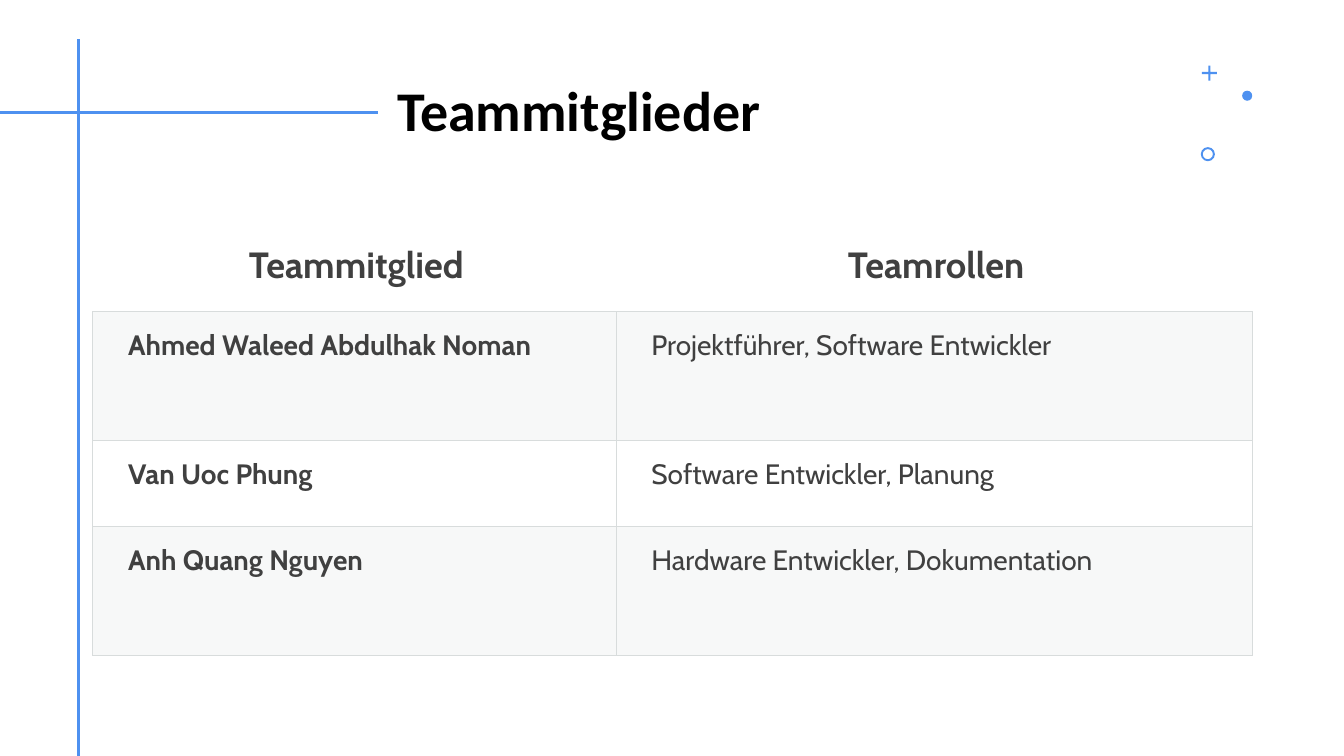
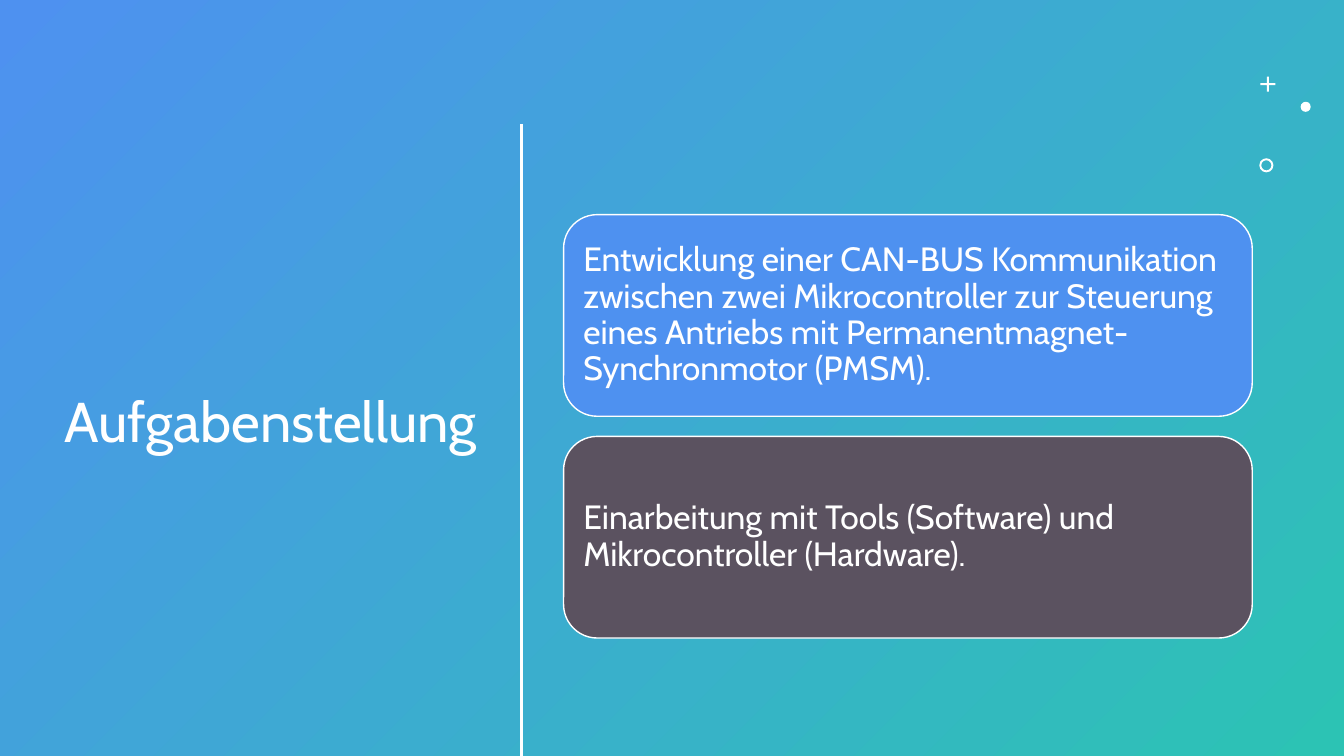
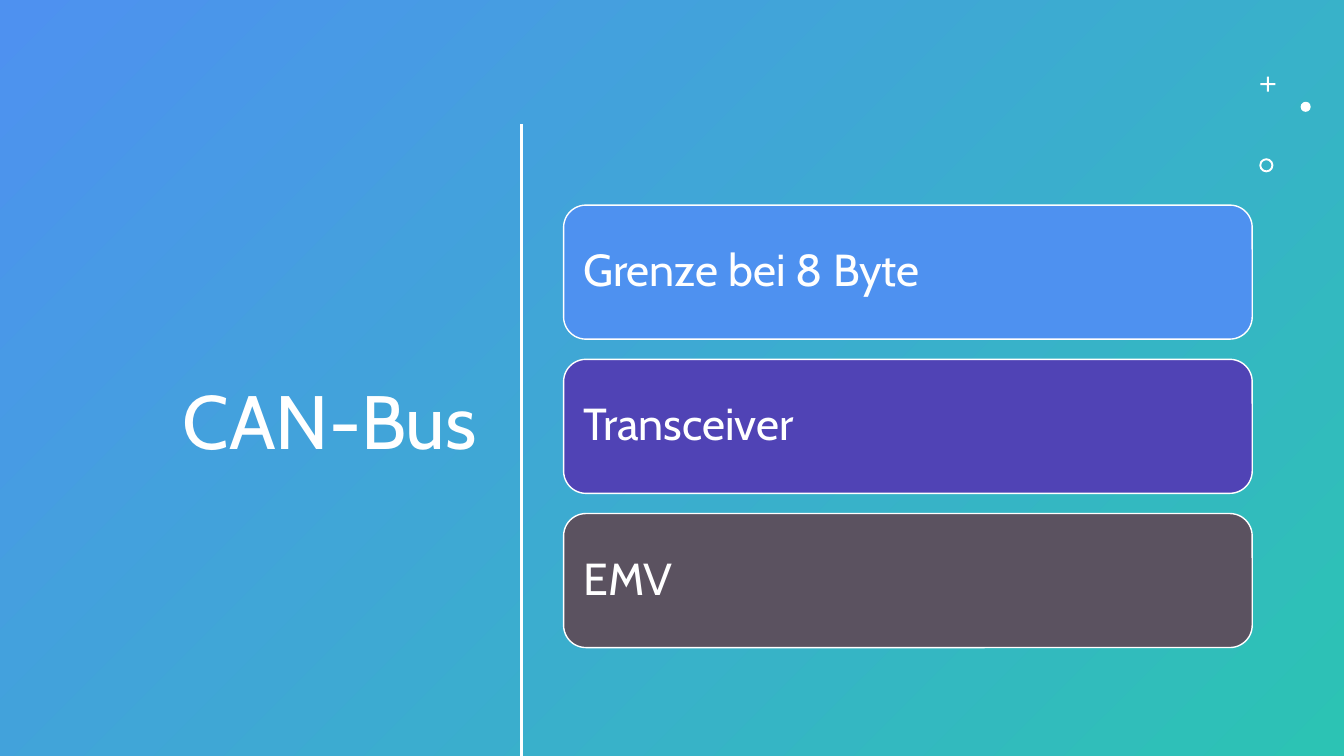
from dataclasses import dataclass

from lxml.etree import SubElement
from pptx import Presentation
from pptx.dml.color import RGBColor
from pptx.enum.shapes import MSO_CONNECTOR, MSO_SHAPE
from pptx.enum.text import MSO_ANCHOR, MSO_AUTO_SIZE, PP_ALIGN
from pptx.oxml.ns import qn
from pptx.presentation import Presentation as Deck
from pptx.slide import Slide
from pptx.table import _Cell
from pptx.text.text import _Paragraph
from pptx.util import Inches, Pt

COLORS = {
    "blue": "4E91F0",
    "teal": "2CC3B4",
    "violet": "5043B5",
    "plum": "5B5260",
    "white": "FFFFFF",
    "black": "000000",
    "text": "404040",
    "border": "D8DCDC",
    "band": "D8DEDC",
}
FONT = "Cabin"
CARD_LEFT, CARD_WIDTH, CARD_GAP, CARDS_MIDDLE = 5.59, 6.83, 0.2, 4.23


@dataclass(frozen=True)
class Box:
    left: float
    top: float
    width: float
    height: float

    def lengths(self) -> tuple[Inches, ...]:
        return tuple(Inches(v) for v in (self.left, self.top, self.width, self.height))


@dataclass(frozen=True)
class TextStyle:
    size: int
    color: str
    bold: bool = False
    align: PP_ALIGN = PP_ALIGN.LEFT
    font: str = FONT
    line_spacing: float = 0.9


@dataclass(frozen=True)
class Ornament:
    shape: MSO_SHAPE
    dx: float
    dy: float
    size: float
    adjustment: float | None = None


@dataclass(frozen=True)
class Card:
    text: str
    color: str


@dataclass(frozen=True)
class CardSlide:
    title: str
    title_size: int
    card_height: float
    card_inset: float
    card_size: int
    cards: tuple[Card, ...]


ORNAMENTS = (
    Ornament(MSO_SHAPE.CROSS, 0.01, 0, 0.15, 0.43),
    Ornament(MSO_SHAPE.OVAL, 0.41, 0.25, 0.1),
    Ornament(MSO_SHAPE.DONUT, 0, 0.81, 0.14, 0.14),
)

TEAM = (
    ("Teammitglied", "Teamrollen"),
    ("Ahmed Waleed Abdulhak Noman", "Projektführer, Software Entwickler"),
    ("Van Uoc Phung", "Software Entwickler, Planung"),
    ("Anh Quang Nguyen", "Hardware Entwickler, Dokumentation"),
)

CARD_SLIDES = (
    CardSlide("Aufgabenstellung", 40, 2, 0.1, 24, (
        Card("Entwicklung einer CAN-BUS Kommunikation zwischen zwei "
             "Mikrocontroller zur Steuerung eines Antriebs mit "
             "Permanentmagnet- Synchronmotor (PMSM).", "blue"),
        Card("Einarbeitung mit Tools (Software) und Mikrocontroller (Hardware).", "plum"),
    )),
    CardSlide("CAN-Bus", 54, 1.33, 0.13, 32, (
        Card("Grenze bei 8 Byte", "blue"),
        Card("Transceiver", "violet"),
        Card("EMV", "plum"),
    )),
)


def rgb(name: str) -> RGBColor:
    return RGBColor.from_string(COLORS[name])


def style_paragraph(p: _Paragraph, style: TextStyle) -> None:
    p.alignment = style.align
    p.line_spacing = style.line_spacing
    for r in p.runs:
        r.font.name = style.font
        r.font.size = Pt(style.size)
        r.font.bold = style.bold
        r.font.color.rgb = rgb(style.color)


def set_title(s: Slide, text: str, box: Box, style: TextStyle) -> None:
    sp = s.shapes.title
    sp.left, sp.top, sp.width, sp.height = box.lengths()
    tf = sp.text_frame
    tf.text = text
    tf.word_wrap = True
    tf.auto_size = MSO_AUTO_SIZE.NONE
    tf.vertical_anchor = MSO_ANCHOR.MIDDLE
    style_paragraph(tf.paragraphs[0], style)


def add_line(s: Slide, x1: float, y1: float, x2: float, y2: float, color: str) -> None:
    line = s.shapes.add_connector(
        MSO_CONNECTOR.STRAIGHT, Inches(x1), Inches(y1), Inches(x2), Inches(y2))
    line.line.color.rgb = rgb(color)
    line.line.width = Pt(2)
    SubElement(line._element.spPr, qn("a:effectLst"))


def add_ornaments(s: Slide, left: float, top: float, color: str) -> None:
    for o in ORNAMENTS:
        box = Box(left + o.dx, top + o.dy, o.size, o.size)
        sp = s.shapes.add_shape(o.shape, *box.lengths())
        sp.shadow.inherit = False
        sp.fill.solid()
        sp.fill.fore_color.rgb = rgb(color)
        sp.line.fill.background()
        if o.adjustment is not None:
            sp.adjustments[0] = o.adjustment


def add_borders(cell: _Cell, sides: str) -> None:
    tcPr = cell._tc.get_or_add_tcPr()
    for side in sides:
        ln = SubElement(tcPr, qn(f"a:ln{side}"), w=str(Pt(0.75)))
        fill = SubElement(ln, qn("a:solidFill"))
        SubElement(fill, qn("a:srgbClr"), val=COLORS["border"])


def fill_band(cell: _Cell) -> None:
    cell.fill.solid()
    cell.fill.fore_color.rgb = rgb("band")
    color = cell._tc.tcPr.find(f"{qn('a:solidFill')}/{qn('a:srgbClr')}")
    SubElement(color, qn("a:alpha"), val="20000")


def add_team_table(s: Slide) -> None:
    box = Box(0.92, 2.24, 11.5, 4.26)
    table = s.shapes.add_table(len(TEAM), len(TEAM[0]), *box.lengths()).table
    table.first_row = table.horz_banding = False
    for column, width in zip(table.columns, (5.19, 6.31)):
        column.width = Inches(width)
    for i, texts in enumerate(TEAM):
        header, banded = i == 0, i % 2 == 1
        table.rows[i].height = Inches(1.28 if banded else 0.85)
        for j, text in enumerate(texts):
            cell = table.cell(i, j)
            cell.text = text
            cell.margin_left, cell.margin_right = Inches(0.35), Inches(0.31)
            cell.margin_top = cell.margin_bottom = Inches(0.17)
            style_paragraph(cell.text_frame.paragraphs[0], TextStyle(
                26 if header else 20, "text", header or j == 0,
                PP_ALIGN.CENTER if header else PP_ALIGN.LEFT, line_spacing=1.0))
            add_borders(cell, "B" if header else "LRTB")
            if banded:
                fill_band(cell)
            else:
                cell.fill.background()


def add_card(s: Slide, card: Card, box: Box, inset: float, size: int) -> None:
    sp = s.shapes.add_shape(MSO_SHAPE.ROUNDED_RECTANGLE, *box.lengths())
    sp.shadow.inherit = False
    sp.fill.solid()
    sp.fill.fore_color.rgb = rgb(card.color)
    sp.line.color.rgb = rgb("white")
    sp.line.width = Pt(1)
    tf = sp.text_frame
    tf.text = card.text
    tf.word_wrap = True
    tf.vertical_anchor = MSO_ANCHOR.MIDDLE
    tf.margin_left = tf.margin_right = tf.margin_top = tf.margin_bottom = Inches(inset)
    style_paragraph(tf.paragraphs[0], TextStyle(size, "white"))


def set_gradient_background(s: Slide) -> None:
    fill = s.background.fill
    fill.gradient()
    fill.gradient_angle = 315
    for stop, position, color in zip(fill.gradient_stops, (0, 1), ("blue", "teal")):
        stop.position = position
        stop.color.rgb = rgb(color)


def add_slide(prs: Deck) -> Slide:
    return prs.slides.add_slide(prs.slide_layouts.get_by_name("Title Only"))


def build_team_slide(prs: Deck) -> None:
    s = add_slide(prs)
    add_line(s, 0.78, 0.39, 0.78, 7.5, "blue")
    set_title(s, "Teammitglieder", Box(3.84, 0.4, 7.83, 1.45),
              TextStyle(40, "black", True, font="Calibri"))
    add_line(s, 0, 1.12, 3.75, 1.12, "blue")
    add_ornaments(s, 11.91, 0.65, "blue")
    add_team_table(s)


def build_card_slide(prs: Deck, content: CardSlide) -> None:
    s = add_slide(prs)
    set_gradient_background(s)
    set_title(s, content.title, Box(0.52, 1.16, 4.31, 6.11),
              TextStyle(content.title_size, "white", align=PP_ALIGN.RIGHT))
    add_line(s, 5.17, 1.23, 5.17, 7.5, "white")
    add_ornaments(s, 12.49, 0.76, "white")
    pitch = content.card_height + CARD_GAP
    top = CARDS_MIDDLE - (len(content.cards) * pitch - CARD_GAP) / 2
    for i, card in enumerate(content.cards):
        box = Box(CARD_LEFT, top + i * pitch, CARD_WIDTH, content.card_height)
        add_card(s, card, box, content.card_inset, content.card_size)


def main() -> None:
    prs = Presentation()
    prs.slide_width, prs.slide_height = Inches(13.33), Inches(7.5)
    build_team_slide(prs)
    for content in CARD_SLIDES:
        build_card_slide(prs, content)
    prs.save("out.pptx")


if __name__ == "__main__":
    main()
